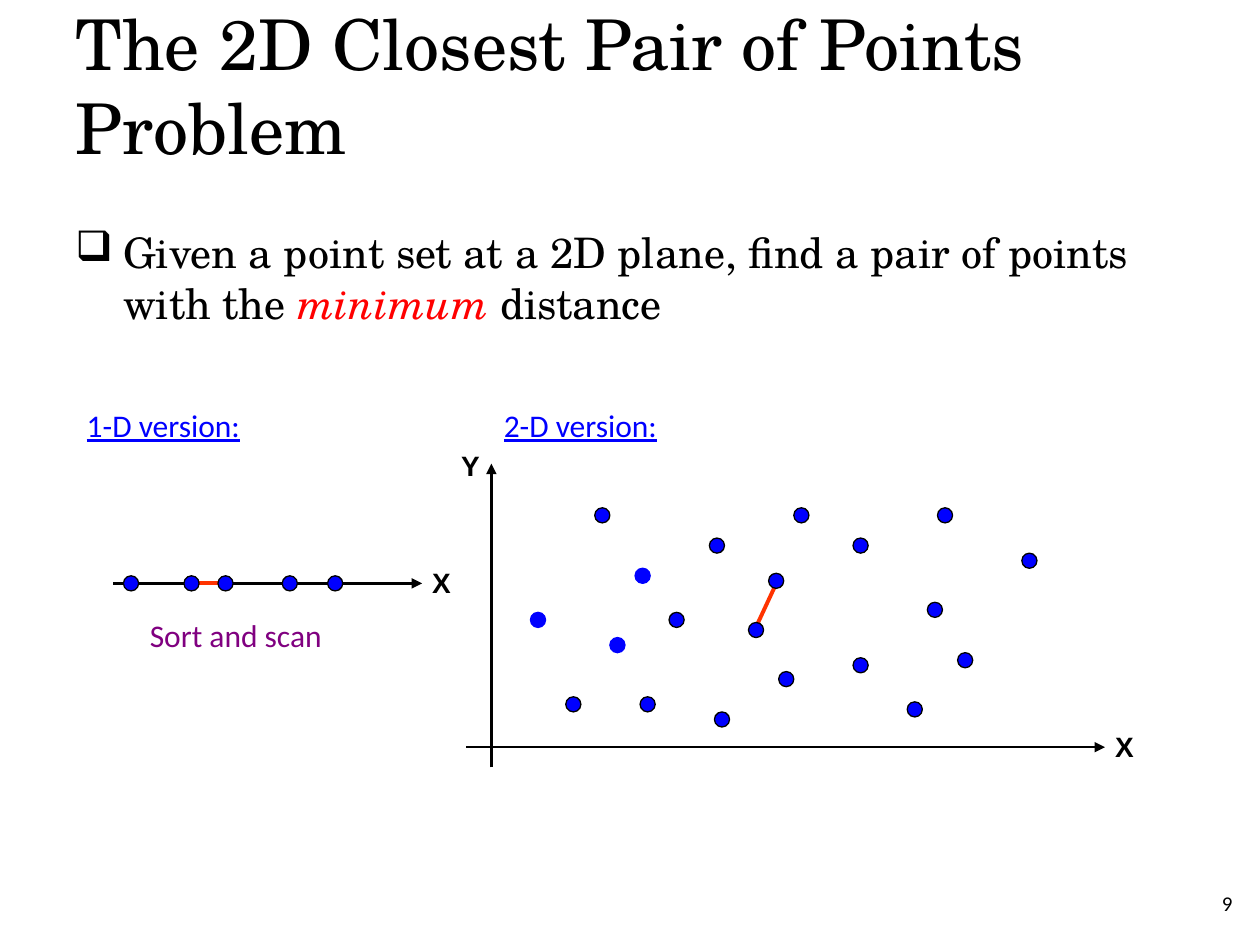
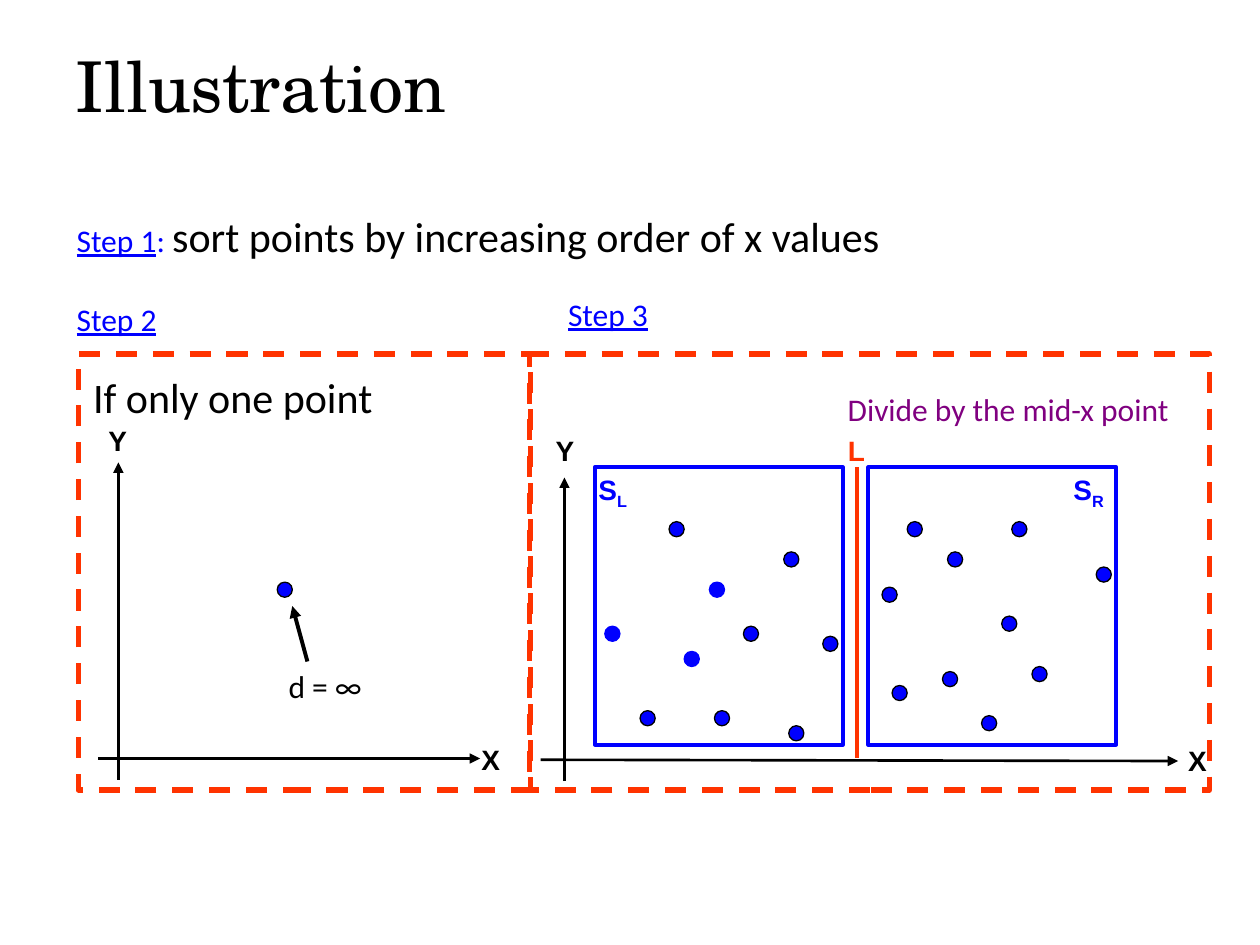
from lxml import etree
from pptx import Presentation
from pptx.dml.color import RGBColor
from pptx.enum import dml, shapes, text
from pptx.oxml import ns
from pptx.util import Inches, Pt

BLACK, BLUE, RED, ORANGE, PURPLE = "000000", "0000FF", "FF0000", "FF3300", "800080"
SERIF = "TeX Gyre Schola"
DOT = 0.12

# Run styles: font, size, colour and flags
HEADING = dict(name="Calibri", size=18, colour=BLUE, underline=True)
REMARK = dict(name="Calibri", size=18, colour=PURPLE)
PLAIN = dict(name="Calibri", size=24, colour=BLACK)
SMALL = dict(PLAIN, size=18)
BODY = dict(name=SERIF, size=24, colour=BLACK)
AXIS = dict(name="Arial", size=16, colour=BLACK, bold=True)
REGION = dict(AXIS, colour=BLUE)

# Points of the plane: left, top, and extra shift right once the plane is divided
PLANE_POINTS = [
    (4.49, 5.53, 0), (4.72, 4.03, 0), (5.08, 5.53, 0), (5.67, 5.65, 0),
    (6.18, 5.33, 0.31), (5.63, 4.27, 0), (6.3, 4.03, 0.31), (5.31, 4.86, 0),
    (5.94, 4.94, 0), (6.1, 4.55, 0.31), (6.77, 5.22, 0.12), (7.2, 5.57, 0),
    (7.6, 5.18, 0), (7.36, 4.78, 0), (6.77, 4.27, 0.16), (7.44, 4.03, 0),
    (8.11, 4.39, 0)]
BLUE_EDGED_POINTS = [(4.84, 5.06), (4.21, 4.86), (5.04, 4.51)]
DIVIDED_SHIFT = (0.59, 0.11)


def write(slide, at, runs, wrap=False, inset=True):
    box = slide.shapes.add_textbox(*map(Inches, at))
    frame = box.text_frame
    frame.word_wrap = wrap
    if not inset:
        frame.margin_left = frame.margin_right = 0
        frame.margin_top = frame.margin_bottom = 0
    paragraph = frame.paragraphs[0]
    for words, style in runs:
        run = paragraph.add_run()
        run.text = words
        font = run.font
        font.name, font.size = style["name"], Pt(style["size"])
        font.color.rgb = RGBColor.from_string(style["colour"])
        font.bold, font.italic = style.get("bold"), style.get("italic")
        font.underline = style.get("underline")
        if "baseline" in style:
            run._r.get_or_add_rPr().set("baseline", style["baseline"])
    return frame


def draw_line(slide, start, end, colour=BLACK, width=1.5, arrow=True):
    line = slide.shapes.add_connector(
        shapes.MSO_CONNECTOR.STRAIGHT, *map(Inches, (*start, *end)))
    line.line.color.rgb = RGBColor.from_string(colour)
    line.line.width = Pt(width)
    if arrow:
        etree.SubElement(line.line._ln, ns.qn("a:tailEnd"), type="triangle")
    etree.SubElement(line._element.spPr, ns.qn("a:effectLst"))


prs = Presentation()
prs.slide_width, prs.slide_height = Inches(10), Inches(7.5)

# Titles
slides = []
for heading in ("The 2D Closest Pair of Points Problem", "Illustration"):
    slide = prs.slides.add_slide(prs.slide_layouts[5])
    title = slide.shapes.title
    title.left, title.top, title.width, title.height = map(Inches, (0.5, 0.3, 9, 0.74))
    title.text_frame.text = heading
    title.text_frame.auto_size = text.MSO_AUTO_SIZE.NONE
    title.text_frame.vertical_anchor = text.MSO_ANCHOR.MIDDLE
    title_line = title.text_frame.paragraphs[0]
    title_line.alignment = text.PP_ALIGN.LEFT
    title_font = title_line.runs[0].font
    title_font.name, title_font.size = SERIF, Pt(40)
    title_font.color.rgb = RGBColor.from_string(BLACK)
    slides.append(slide)
problem, illustration = slides

# Problem statement with its box bullet
statement = write(problem, (0.5, 1.75, 9, 4.95), [
    ("Given a point set at a 2D plane, find a pair of points with the ", BODY),
    ("minimum", dict(BODY, colour=RED, italic=True)),
    (" distance", BODY)], wrap=True)
bullet = statement.paragraphs[0]._p.get_or_add_pPr()
bullet.set("marL", str(Inches(0.38)))
bullet.set("indent", str(-Inches(0.38)))
etree.SubElement(bullet, ns.qn("a:buChar"), char="❑")

page_number = write(problem, (7.55, 6.97, 2.33, 0.4), [("9", dict(PLAIN, size=12))], wrap=True)
page_number.vertical_anchor = text.MSO_ANCHOR.MIDDLE
page_number.paragraphs[0].alignment = text.PP_ALIGN.RIGHT

# Dashed step panels and solid half-plane regions
for left, top, width, height, colour, weight, dash in (
        (0.62, 2.81, 3.58, 3.46, ORANGE, 3, dml.MSO_LINE.DASH),
        (4.21, 2.81, 5.39, 3.46, ORANGE, 3, dml.MSO_LINE.DASH),
        (4.72, 3.71, 1.97, 2.2, BLUE, 2.25, None),
        (6.89, 3.71, 1.97, 2.2, BLUE, 2.25, None)):
    region = illustration.shapes.add_shape(
        shapes.MSO_SHAPE.RECTANGLE, *map(Inches, (left, top, width, height)))
    region.shadow.inherit = False
    region.fill.background()
    region.line.color.rgb = RGBColor.from_string(colour)
    region.line.width = Pt(weight)
    region.line.dash_style = dash

# Axes, each with its letter
for slide, start, end, letter, letter_at in (
        (problem, (0.9, 4.63), (3.35, 4.63), "X", (3.43, 4.49)),
        (problem, (3.9, 6.09), (3.9, 3.68), "Y", (3.66, 3.56)),
        (problem, (3.7, 5.93), (8.77, 5.93), "X", (8.85, 5.79)),
        (illustration, (0.94, 6.19), (0.94, 3.67), "Y", (0.86, 3.36)),
        (illustration, (0.78, 6.02), (3.81, 6.02), "X", (3.82, 5.89)),
        (illustration, (4.48, 6.2), (4.48, 3.79), "Y", (4.41, 3.44)),
        (illustration, (4.29, 6.03), (9.35, 6.04), "X", (9.43, 5.9))):
    draw_line(slide, start, end)
    write(slide, (*letter_at, 0.15, 0.27), [(letter, AXIS)], inset=False)

# Closest pairs, dividing line and pointer to the single point
draw_line(problem, (1.54, 4.63), (1.77, 4.63), ORANGE, 2.25, arrow=False)
draw_line(problem, (6.18, 4.59), (5.98, 5.02), ORANGE, 2.25, arrow=False)
draw_line(illustration, (6.8, 3.71), (6.8, 6.02), ORANGE, 2.25, arrow=False)
draw_line(illustration, (2.44, 5.25), (2.32, 4.81), width=2.25)

# Points
points = [(problem, x, 4.57, BLACK) for x in (0.98, 1.46, 1.73, 2.24, 2.6)]
points.append((illustration, 2.2, 4.62, BLACK))
shift_x, shift_y = DIVIDED_SHIFT
for x, y, extra in PLANE_POINTS:
    points.append((problem, x, y, BLACK))
    points.append((illustration, x + shift_x + extra, y + shift_y, BLACK))
for x, y in BLUE_EDGED_POINTS:
    points.append((problem, x, y, BLUE))
    points.append((illustration, x + shift_x, y + shift_y, BLUE))
for slide, x, y, edge in points:
    point = slide.shapes.add_shape(
        shapes.MSO_SHAPE.OVAL, Inches(x), Inches(y), Inches(DOT), Inches(DOT))
    point.shadow.inherit = False
    point.fill.solid()
    point.fill.fore_color.rgb = RGBColor.from_string(BLUE)
    point.line.color.rgb = RGBColor.from_string(edge)
    point.line.width = Pt(0)

# Captions of the two versions
write(problem, (0.59, 3.17, 1.47, 0.4), [("1-D version:", HEADING)])
write(problem, (3.9, 3.17, 1.47, 0.4), [("2-D version:", HEADING)])
write(problem, (1.09, 4.84, 1.59, 0.4), [("Sort and scan", REMARK)])

# Steps
write(illustration, (0.51, 1.62, 6.64, 0.5), [
    ("Step 1", HEADING), (": ", dict(HEADING, underline=False)),
    ("sort points by increasing order of x values", PLAIN)])
write(illustration, (0.51, 2.33, 1.61, 0.7), [("Step 2", HEADING)], wrap=True)
write(illustration, (4.41, 2.29, 1.61, 0.7), [("Step 3", HEADING)], wrap=True)
write(illustration, (0.64, 2.9, 2.66, 0.63), [("If only one point", PLAIN)], wrap=True)
write(illustration, (2.29, 5.29, 0.93, 0.39), [("d = ∞", SMALL)], wrap=True, inset=False)
write(illustration, (6.63, 3.05, 2.83, 0.4), [("Divide by the mid-x point", REMARK)])

# Names of the dividing line and the halves
write(illustration, (6.73, 3.44, 0.14, 0.27), [("L", dict(AXIS, colour=ORANGE))], inset=False)
for left, width, side in ((4.75, 0.24, "L"), (8.52, 0.26, "R")):
    write(illustration, (left, 3.75, width, 0.27),
          [("S", REGION), (side, dict(REGION, baseline="-25000"))], inset=False)

prs.save("out.pptx")
